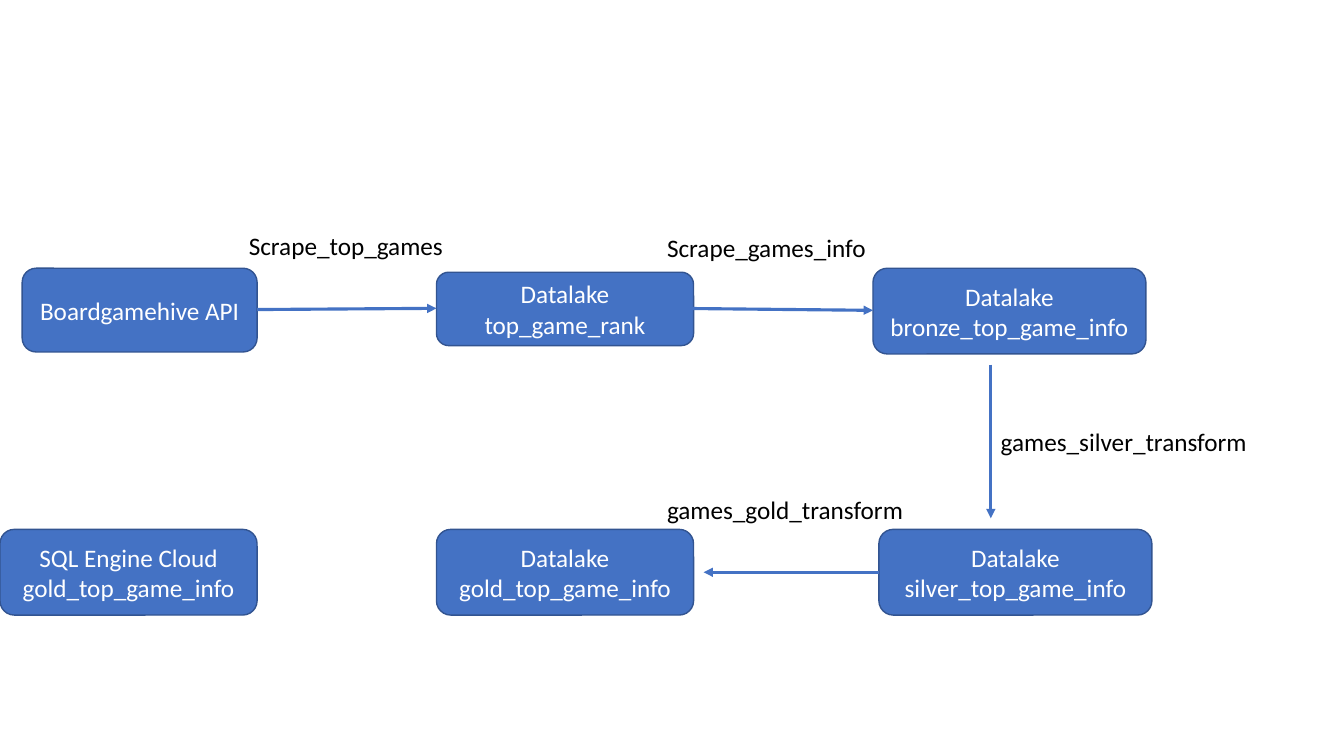
import dataclasses

import pptx
import pptx.dml.color
import pptx.enum.shapes
import pptx.enum.text
import pptx.oxml
import pptx.oxml.ns
import pptx.util

Cm = pptx.util.Cm
Pt = pptx.util.Pt


@dataclasses.dataclass(frozen=True)
class Theme:
    font: str = "Calibri"
    size: float = 18
    blue: str = "4472C4"
    outline: str = "325491"
    white: str = "FFFFFF"
    black: str = "000000"
    outline_width: float = 1
    arrow_width: float = 2.25


class PipelinePage:
    def __init__(self, page, theme):
        self.page = page
        self.theme = theme

    def color(self, value):
        return pptx.dml.color.RGBColor.from_string(value)

    def set_text(self, frame, text, color, alignment):
        frame.text = text
        for paragraph in frame.paragraphs:
            paragraph.alignment = alignment
            paragraph.font.name = self.theme.font
            paragraph.font.size = Pt(self.theme.size)
            paragraph.font.color.rgb = self.color(color)

    def store(self, text, left, top, width, height):
        box = self.page.shapes.add_shape(
            pptx.enum.shapes.MSO_SHAPE.ROUNDED_RECTANGLE,
            Cm(left), Cm(top), Cm(width), Cm(height))
        box.shadow.inherit = False
        box.fill.solid()
        box.fill.fore_color.rgb = self.color(self.theme.blue)
        box.line.color.rgb = self.color(self.theme.outline)
        box.line.width = Pt(self.theme.outline_width)
        box.text_frame.word_wrap = True
        box.text_frame.vertical_anchor = pptx.enum.text.MSO_ANCHOR.MIDDLE
        self.set_text(box.text_frame, text, self.theme.white,
                      pptx.enum.text.PP_ALIGN.CENTER)

    def label(self, text, left, top, width):
        box = self.page.shapes.add_textbox(
            Cm(left), Cm(top), Cm(width), Cm(1.03))
        box.text_frame.word_wrap = False
        box.text_frame.auto_size = pptx.enum.text.MSO_AUTO_SIZE.SHAPE_TO_FIT_TEXT
        self.set_text(box.text_frame, text, self.theme.black,
                      pptx.enum.text.PP_ALIGN.LEFT)

    def arrow(self, start_x, start_y, end_x, end_y):
        arrow = self.page.shapes.add_connector(
            pptx.enum.shapes.MSO_CONNECTOR.STRAIGHT,
            Cm(start_x), Cm(start_y), Cm(end_x), Cm(end_y))
        arrow.line.color.rgb = self.color(self.theme.blue)
        arrow.line.width = Pt(self.theme.arrow_width)
        namespace = pptx.oxml.ns.nsdecls("a")
        properties = arrow._element.spPr
        properties.get_or_add_ln().append(
            pptx.oxml.parse_xml(f'<a:tailEnd {namespace} type="triangle"/>'))
        properties.append(pptx.oxml.parse_xml(f"<a:effectLst {namespace}/>"))


deck = pptx.Presentation()
deck.slide_width = Cm(33.87)
deck.slide_height = Cm(19.05)
blank_layout = deck.slide_layouts[6]
pipeline = PipelinePage(deck.slides.add_slide(blank_layout), Theme())

# Shared columns, rows and sizes
rank_left, bronze_left, silver_left = 11, 22, 22.15
scrape_top, refined_top = 6.76, 13.34
store_width, wide_store, store_height = 6.48, 6.88, 2.16
transform_x = 24.97
refined_middle = refined_top + store_height / 2

# Scraping row
pipeline.store("Boardgamehive API", 0.56, scrape_top, 5.92, 2.11)
pipeline.store("Datalake\ntop_game_rank", rank_left, 6.86, store_width, 1.85)
pipeline.store("Datalake bronze_top_game_info",
               bronze_left, scrape_top, wide_store, store_height)

# Refined row
pipeline.store("Datalake silver_top_game_info",
               silver_left, refined_top, wide_store, store_height)
pipeline.store("Datalake gold_top_game_info",
               rank_left, refined_top, store_width, store_height)
pipeline.store("SQL Engine Cloud\ngold_top_game_info",
               0, refined_top, store_width, store_height)

# Steps between stores
pipeline.arrow(store_width, 7.8, rank_left, 7.77)
pipeline.arrow(17.02, 7.77, bronze_left, 7.82)
pipeline.arrow(transform_x, 9.19, transform_x, 13.06)
pipeline.arrow(silver_left, refined_middle, 17.73, refined_middle)

# Step names
pipeline.label("Scrape_top_games", 6.02, 5.69, 5.46)
pipeline.label("Scrape_games_info", 16.56, 5.72, 5.59)
pipeline.label("games_silver_transform", transform_x, 10.62, 6.78)
pipeline.label("games_gold_transform", 16.56, 12.32, 6.53)

deck.save("out.pptx")
